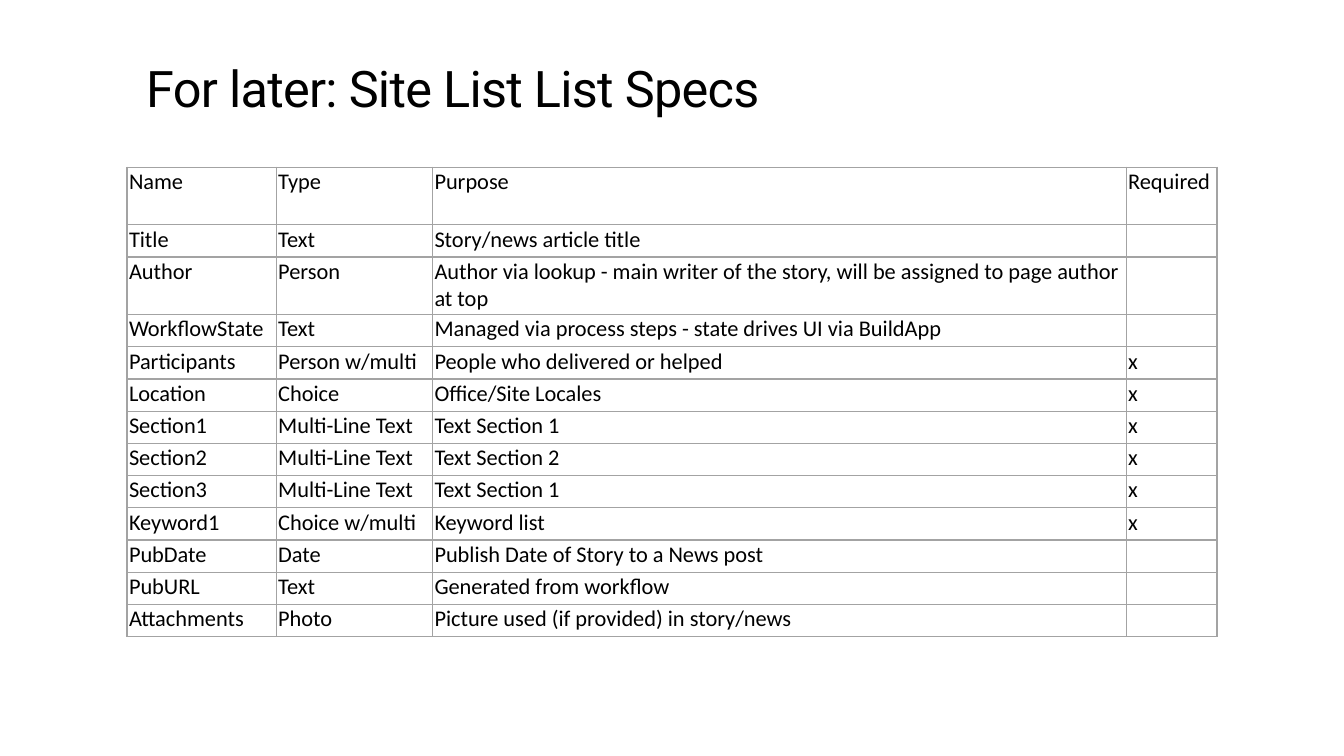
import lxml.etree
import pptx
import pptx.dml.color
import pptx.enum.text
import pptx.oxml.ns
import pptx.util

Inches = pptx.util.Inches
BLACK = pptx.dml.color.RGBColor(0x00, 0x00, 0x00)
GRAY = pptx.dml.color.RGBColor(0xA3, 0xA3, 0xA3)

TITLE = "For later: Site List List Specs"
ROWS = [
    ("Name", "Type", "Purpose", "Required"),
    ("Title", "Text", "Story/news article title", ""),
    ("Author", "Person", "Author via lookup - main writer of the story, "
     "will be assigned to page author at top", ""),
    ("WorkflowState", "Text",
     "Managed via process steps - state drives UI via BuildApp", ""),
    ("Participants", "Person w/multi", "People who delivered or helped", "x"),
    ("Location", "Choice", "Office/Site Locales", "x"),
    ("Section1", "Multi-Line Text", "Text Section 1", "x"),
    ("Section2", "Multi-Line Text", "Text Section 2", "x"),
    ("Section3", "Multi-Line Text", "Text Section 1", "x"),
    ("Keyword1", "Choice w/multi", "Keyword list", "x"),
    ("PubDate", "Date", "Publish Date of Story to a News post", ""),
    ("PubURL", "Text", "Generated from workflow", ""),
    ("Attachments", "Photo", "Picture used (if provided) in story/news", ""),
]
WIDTHS = (1.48, 1.55, 6.88, 0.9)
LOW, TALL = 0.32, 0.57
TALL_ROWS = (0, 2)


def write(frame, text, size=16, font="Calibri", color=BLACK, space=None):
    """Put formatted, left-aligned text in a frame."""
    para = frame.paragraphs[0]
    para.alignment = pptx.enum.text.PP_ALIGN.LEFT
    run = para.add_run()
    run.text = text
    run.font.size = pptx.util.Pt(size)
    run.font.name = font
    run.font.color.rgb = color
    if space is not None:
        run.font._element.set("spc", str(int(space * 100)))


def border(cell, color=GRAY, width=1):
    """Draw a thin line on each side of a cell."""
    props = cell._tc.get_or_add_tcPr()
    qn = pptx.oxml.ns.qn
    for spot, side in enumerate(("lnL", "lnR", "lnT", "lnB")):
        line = lxml.etree.Element(qn("a:" + side), w=str(pptx.util.Pt(width)))
        fill = lxml.etree.SubElement(line, qn("a:solidFill"))
        lxml.etree.SubElement(fill, qn("a:srgbClr"), val=str(color))
        props.insert(spot, line)


def main():
    """Build and save the list specs slide."""
    deck = pptx.Presentation()
    deck.slide_width, deck.slide_height = Inches(13.33), Inches(7.5)
    slide = deck.slides.add_slide(deck.slide_layouts[5])

    title = slide.shapes.title
    title.left, title.top = Inches(1.45), Inches(0.56)
    title.width, title.height = Inches(12.05), Inches(0.61)
    frame = title.text_frame
    frame.margin_left = frame.margin_right = 0
    frame.margin_top = frame.margin_bottom = 0
    frame.auto_size = pptx.enum.text.MSO_AUTO_SIZE.SHAPE_TO_FIT_TEXT
    write(frame, TITLE, size=36, font="Roboto", space=-0.5)

    heights = [TALL if i in TALL_ROWS else LOW for i in range(len(ROWS))]
    table = slide.shapes.add_table(
        len(ROWS), len(WIDTHS), Inches(1.26), Inches(1.66),
        Inches(sum(WIDTHS)), Inches(sum(heights))).table
    table.first_row = table.horz_banding = False
    for column, width in zip(table.columns, WIDTHS):
        column.width = Inches(width)
    for row, height, texts in zip(table.rows, heights, ROWS):
        row.height = Inches(height)
        for cell, text in zip(row.cells, texts):
            cell.margin_left = cell.margin_right = Inches(0.02)
            cell.margin_top = cell.margin_bottom = Inches(0.01)
            cell.fill.background()
            border(cell)
            write(cell.text_frame, text)

    deck.save("out.pptx")


if __name__ == "__main__":
    main()
